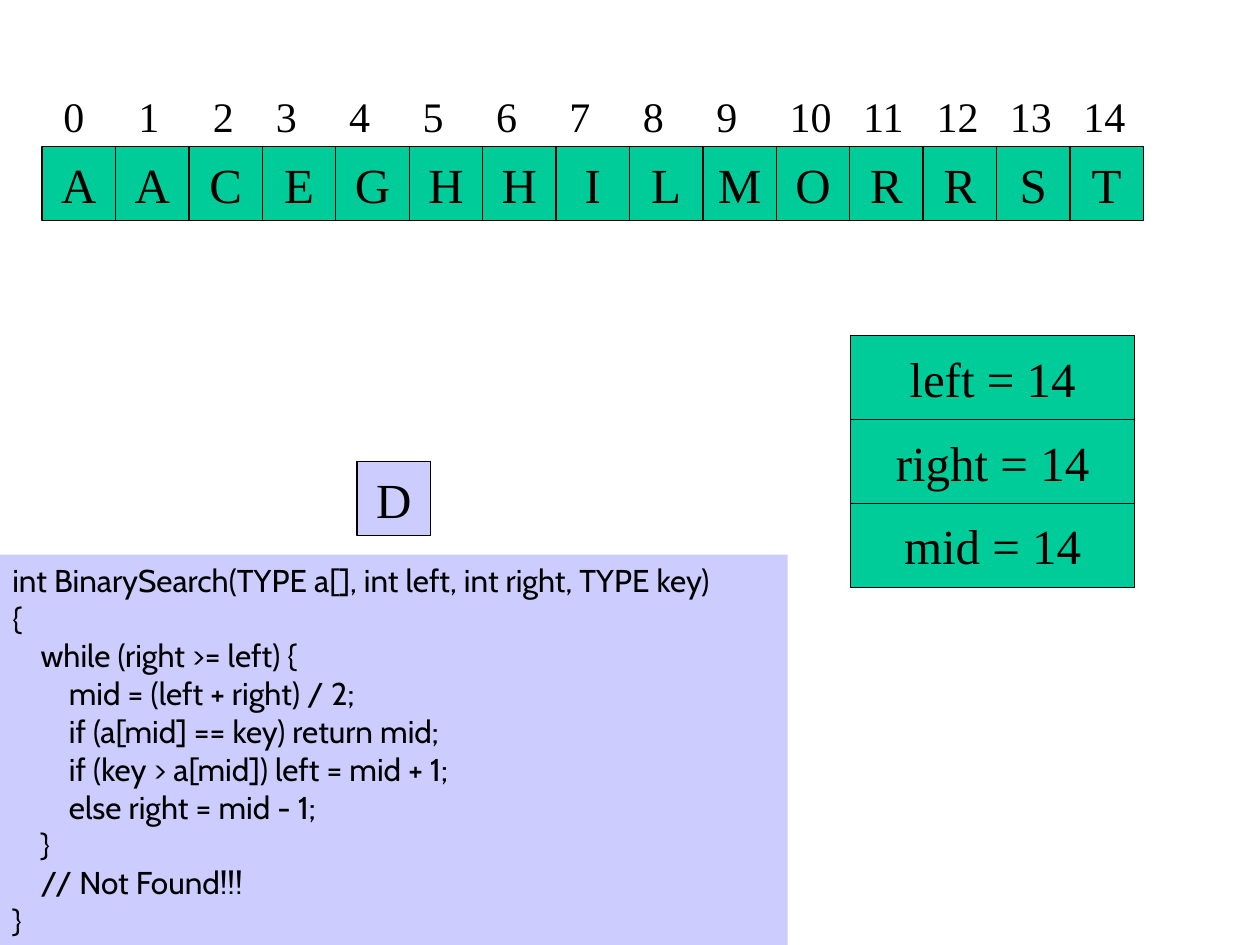
"""Build the binary search slide with its array, variables and code."""
from pptx import Presentation
from pptx.dml.color import RGBColor
from pptx.enum import shapes, text
from pptx.util import Cm, Pt

HUES = {"green": "00CC99", "lilac": "CCCCFF", "ink": "000000"}
SERIF, SANS = "Times New Roman", "Cabin"
LEFT, SIDE = 0.85, 1.48
WORD = "AACEGHHILMORRST"
NUDGE = {0: 0.18, 1: 0.21, 2: 0.23}
VARS = ["left = 14", "right = 14", "mid = 14"]
CODE = [
    (0, "int BinarySearch(TYPE a[], int left, int right, TYPE key)"),
    (0, "{"),
    (1, "while (right >= left) {"),
    (2, "mid = (left + right) / 2;"),
    (2, "if (a[mid] == key) return mid;"),
    (2, "if (key > a[mid]) left = mid + 1;"),
    (2, "else right = mid - 1;"),
    (1, "}"),
    (1, "// Not Found!!!"),
    (0, "}"),
]
MID = {"vertical_anchor": text.MSO_ANCHOR.MIDDLE, "word_wrap": False}
TOP = {"vertical_anchor": text.MSO_ANCHOR.TOP, "word_wrap": True}
TAG = {"word_wrap": False, "auto_size": text.MSO_AUTO_SIZE.SHAPE_TO_FIT_TEXT}


def tint(hue):
    """Return the named colour."""
    return RGBColor.from_string(HUES[hue])


def apply(item, form):
    """Set every attribute in the format."""
    for name, value in form.items():
        setattr(item, name, value)


def write(par, words, size, face, align):
    """Put one styled run into a paragraph."""
    par.alignment = align
    run = par.add_run()
    run.text = words
    apply(run.font, {"size": Pt(size), "name": face})
    run.font.color.rgb = tint("ink")


def block(slide, spot, hue, form):
    """Add a filled rectangle without an outline."""
    box = slide.shapes.add_shape(shapes.MSO_SHAPE.RECTANGLE, *map(Cm, spot))
    box.shadow.inherit = False
    box.fill.solid()
    box.fill.fore_color.rgb = tint(hue)
    box.line.fill.background()
    apply(box.text_frame, form)
    return box


def cell(slide, spot, hue, words):
    """Add an outlined box with centred text."""
    box = block(slide, spot, hue, MID)
    box.line.color.rgb = tint("ink")
    box.line.width = Pt(0.74)
    write(box.text_frame.paragraphs[0], words, 28, SERIF, text.PP_ALIGN.CENTER)


def label(slide, num):
    """Add the index above an array cell."""
    left = LEFT + num * SIDE + NUDGE.get(num, 0.02)
    wide = 0.91 if num < 10 else 1.35
    box = slide.shapes.add_textbox(Cm(left), Cm(1.7), Cm(wide), Cm(1.27))
    apply(box.text_frame, TAG)
    write(box.text_frame.paragraphs[0], str(num), 24, SERIF, text.PP_ALIGN.LEFT)


def listing(slide):
    """Add the code with one indent step per level."""
    frame = block(slide, (0, 11.18, 15.88, 8.64), "lilac", TOP).text_frame
    for row, (level, words) in enumerate(CODE):
        par = frame.add_paragraph() if row else frame.paragraphs[0]
        par._p.get_or_add_pPr().set("marL", str(Cm(0.57 * level)))
        write(par, words, 18, SANS, text.PP_ALIGN.LEFT)


def main():
    """Build and save the slide."""
    deck = Presentation()
    apply(deck, {"slide_width": Cm(25.4), "slide_height": Cm(19.05)})
    slide = deck.slides.add_slide(deck.slide_layouts[6])
    for num, char in enumerate(WORD):
        cell(slide, (LEFT + num * SIDE, 2.96, SIDE, SIDE), "green", char)
    for row, words in enumerate(VARS):
        cell(slide, (17.15, 6.77 + row * 1.69, 5.72, 1.69), "green", words)
    listing(slide)
    for num in range(len(WORD)):
        label(slide, num)
    cell(slide, (7.2, 9.31, SIDE, SIDE), "lilac", "D")
    deck.save("out.pptx")


main()
